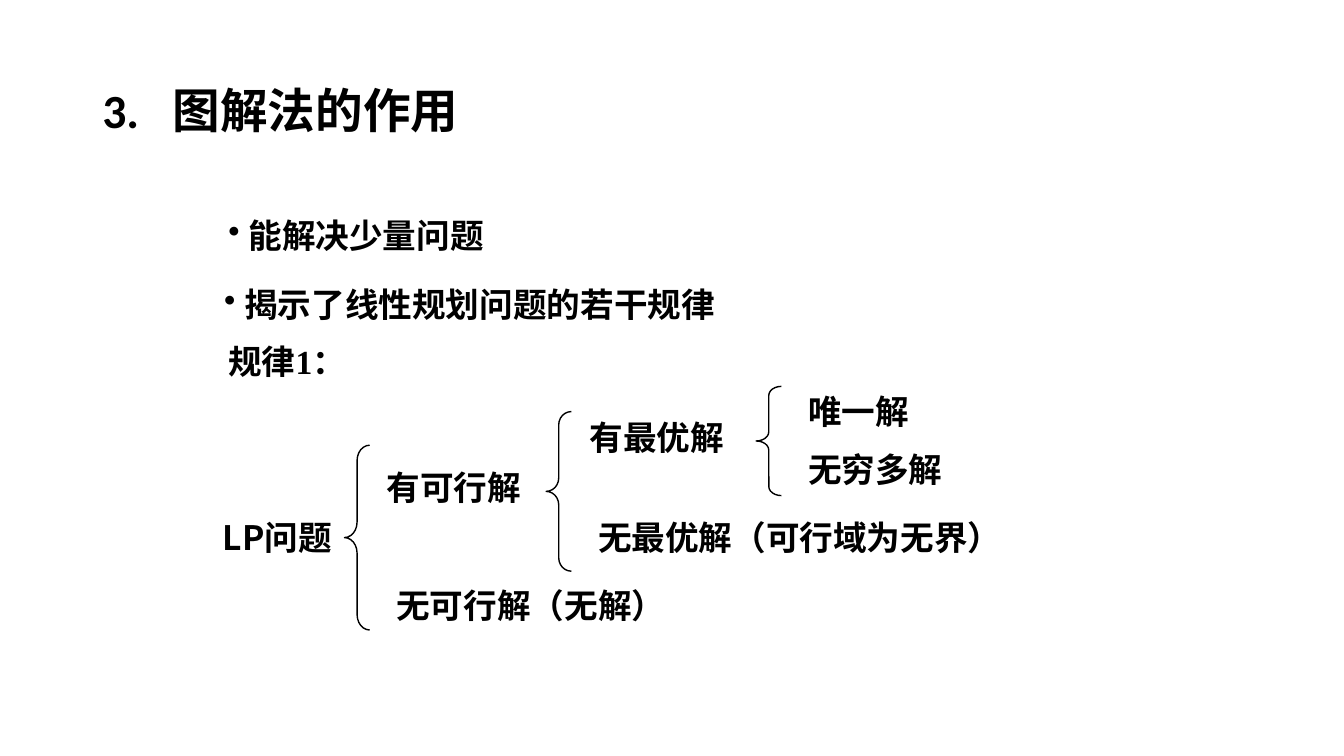
from pptx import Presentation
from pptx import util as u
from pptx.dml.color import RGBColor
from pptx.enum import shapes, text
from pptx.oxml import parse_xml
from pptx.oxml.ns import nsdecls, qn

BLACK = RGBColor(0, 0, 0)
SERIF, SANS, CJK = "Times New Roman", "Calibri", "Noto Sans CJK SC"
LEFT, CENTER = text.PP_ALIGN.LEFT, text.PP_ALIGN.CENTER

# Places are left, top, width, height in grid cells of 1/12 inch.
CELL = u.Inches(1) / 12
HANGING = u.Inches(0.2)
TITLE_TAB = u.Inches(0.7)

title = ("3.\t图解法的作用", (11, 4.8, 138, 17.4))
uses = [
    ("能解决少量问题", (26, 25, 64, 6)),
    ("揭示了线性规划问题的若干规律", (25.5, 33.25, 61.5, 6)),
]
rule_and_outcomes = [
    (["规律1："], (26, 40, 23, 6), LEFT, SERIF),
    (["LP问题"], (25, 61, 16, 6), CENTER, CJK),
    (["有可行解"], (44, 55, 20, 6), CENTER, SERIF),
    (["无可行解（无解）"], (46, 69, 37, 6), LEFT, SERIF),
    (["有最优解"], (69, 49, 20, 6), LEFT, SERIF),
    (["无最优解（可行域为无界）"], (70, 61, 54, 6), LEFT, SERIF),
    (["唯一解", "无穷多解"], (95, 46, 21, 13.3), LEFT, SERIF),
]
braces = [(41, 53, 3, 22), (65, 49, 3, 19), (90, 46, 3, 13)]


def on_grid(place):
    return [round(cells * CELL) for cells in place]


def add_text(slide, lines, place, align=LEFT, font=SERIF, size=24):
    frame = slide.shapes.add_textbox(*on_grid(place)).text_frame
    frame.word_wrap = True
    frame.text = "\n".join(lines)
    for index, paragraph in enumerate(frame.paragraphs):
        paragraph.alignment = align
        if index:
            paragraph.space_before = u.Pt(size / 2)
        for run in paragraph.runs:
            run.font.name = font
            run.font.size = u.Pt(size)
            run.font.bold = True
            run.font.color.rgb = BLACK
            east_asian = parse_xml(f'<a:ea {nsdecls("a")} typeface="{CJK}"/>')
            run.font._element.find(qn("a:latin")).addnext(east_asian)
    return frame


def add_title(slide, line, place):
    frame = add_text(slide, [line], place, font=SANS, size=34)
    frame.vertical_anchor = text.MSO_ANCHOR.MIDDLE
    heading = frame.paragraphs[0]
    heading.line_spacing = 0.9
    heading._p.get_or_add_pPr().append(parse_xml(
        f'<a:tabLst {nsdecls("a")}><a:tab pos="{TITLE_TAB}" algn="l"/></a:tabLst>'))


def add_bullet(slide, line, place):
    properties = add_text(slide, [line], place).paragraphs[0]._p.get_or_add_pPr()
    properties.set("marL", str(HANGING))
    properties.set("indent", str(-HANGING))
    properties.append(parse_xml(f'<a:buChar {nsdecls("a")} char="•"/>'))


def add_brace(slide, place):
    """Draw a left brace whose curls are a twelfth of its height."""
    brace = slide.shapes.add_shape(shapes.MSO_SHAPE.LEFT_BRACE, *on_grid(place))
    brace.shadow.inherit = False
    brace.fill.background()
    brace.line.color.rgb = BLACK
    brace.line.width = u.Pt(1)
    width, height = place[2:]
    brace.adjustments[0] = height / width / 12
    brace.adjustments[1] = 0.5


def main():
    deck = Presentation()
    deck.slide_width, deck.slide_height = u.Inches(13.33), u.Inches(7.5)
    slide = deck.slides.add_slide(deck.slide_layouts[6])
    add_title(slide, *title)
    for use in uses:
        add_bullet(slide, *use)
    for outcome in rule_and_outcomes:
        add_text(slide, *outcome)
    for place in braces:
        add_brace(slide, place)
    deck.save("out.pptx")


if __name__ == "__main__":
    main()
